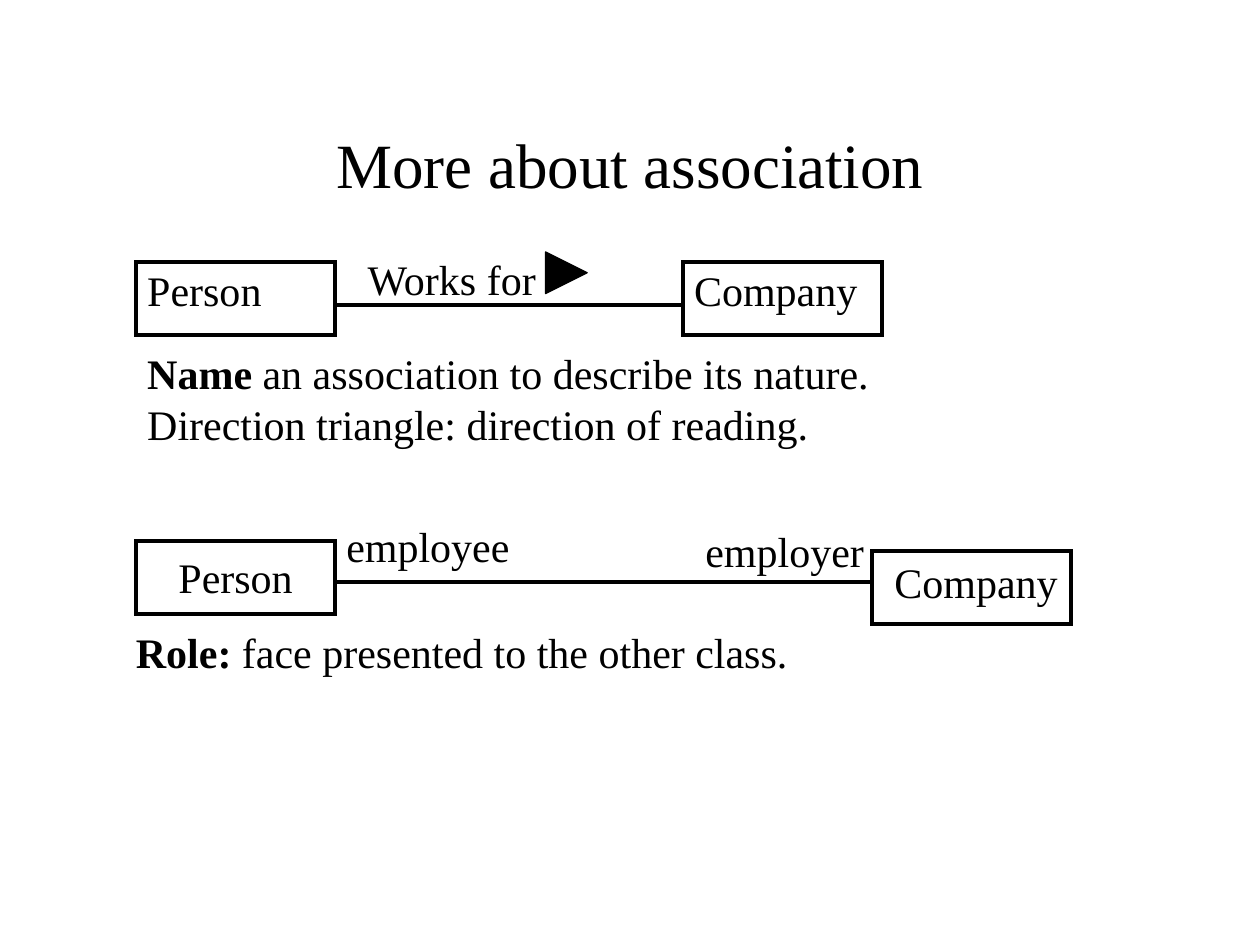
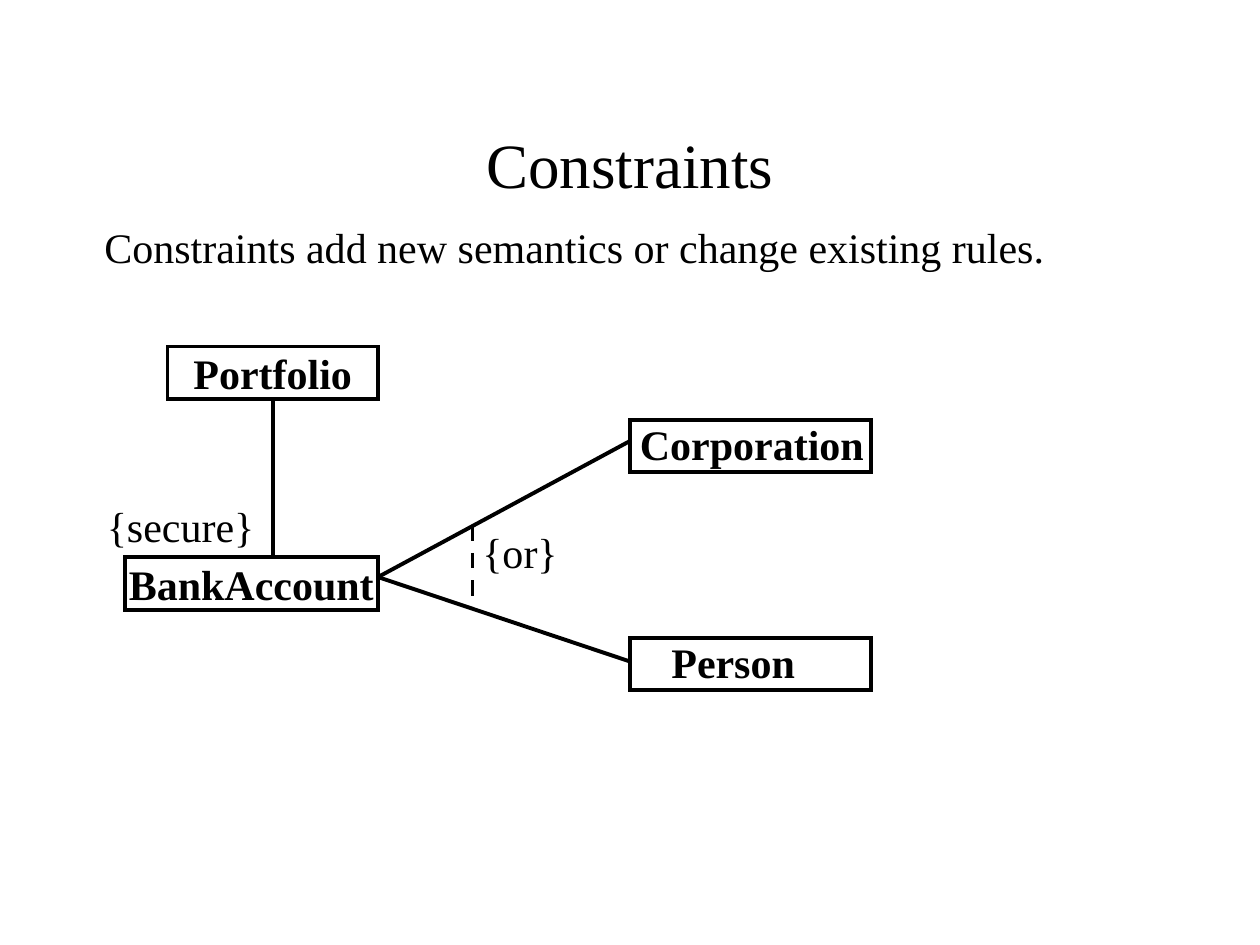
from lxml import etree
from pptx import Presentation
from pptx.dml.color import RGBColor
from pptx.enum import dml, shapes, text
from pptx.oxml import ns
from pptx.util import Inches, Pt

BLACK = RGBColor(0, 0, 0)
FONT = "Times New Roman"
BODY, HEAD = 24, 36
STROKE = 2.25
CLASS_W, CLASS_H = 1.58, 0.58   # association classes
RULE_W, RULE_H = 1.91, 0.42     # constrained classes
LINE_H = 0.4


def style(para, size=BODY, bold=None, align=text.PP_ALIGN.LEFT):
    font = para.font
    font.name, font.size, font.bold = FONT, Pt(size), bold
    font.color.rgb = BLACK
    para.alignment = align


def ink(line, width=STROKE):
    line.color.rgb = BLACK
    line.width = Pt(width)


def start(deck, title):
    """Add a title-only slide with its heading."""
    slide = deck.slides.add_slide(deck.slide_layouts[5])
    head = slide.shapes.title
    head.left, head.top = Inches(0.75), Inches(0.67)
    head.width, head.height = Inches(8.5), Inches(1.25)
    frame = head.text_frame
    frame.text = title
    frame.auto_size = text.MSO_AUTO_SIZE.NONE
    frame.vertical_anchor = text.MSO_ANCHOR.MIDDLE
    style(frame.paragraphs[0], HEAD, align=text.PP_ALIGN.CENTER)
    return slide


def label(slide, x, y, w, *lines, lead="", bold=None):
    """Add lines of text; lead is a bold opening for the first one."""
    height = 0.1 + LINE_H * len(lines)
    area = slide.shapes.add_textbox(Inches(x), Inches(y), Inches(w), Inches(height))
    frame = area.text_frame
    frame.word_wrap = False
    frame.auto_size = text.MSO_AUTO_SIZE.SHAPE_TO_FIT_TEXT
    for i, words in enumerate(lines):
        para = frame.paragraphs[0] if i == 0 else frame.add_paragraph()
        style(para, bold=bold)
        if i == 0 and lead:
            run = para.add_run()
            run.text = lead
            run.font.bold = True
        para.add_run().text = words


def box(slide, x, y, w, h, name="", bold=None):
    """Add a sharp-cornered class rectangle, with its name centred if given."""
    rect = slide.shapes.add_shape(
        shapes.MSO_SHAPE.RECTANGLE, Inches(x), Inches(y), Inches(w), Inches(h))
    rect.shadow.inherit = False
    rect.fill.background()
    ink(rect.line)
    edge = rect._element.spPr.find(ns.qn("a:ln"))
    etree.SubElement(edge, ns.qn("a:miter"), lim="800000")
    if name:
        frame = rect.text_frame
        frame.text = name
        frame.word_wrap = False
        frame.vertical_anchor = text.MSO_ANCHOR.MIDDLE
        style(frame.paragraphs[0], bold=bold, align=text.PP_ALIGN.CENTER)


def link(slide, x1, y1, x2, y2, dash=False):
    line = slide.shapes.add_connector(
        shapes.MSO_CONNECTOR.STRAIGHT, Inches(x1), Inches(y1), Inches(x2), Inches(y2))
    ink(line.line)
    if dash:
        line.line.dash_style = dml.MSO_LINE.DASH
    etree.SubElement(line._element.spPr, ns.qn("a:effectLst"))


def pointer(slide, x, y, size):
    """Add the solid triangle that shows the reading direction."""
    mark = slide.shapes.add_shape(
        shapes.MSO_SHAPE.FLOWCHART_EXTRACT,
        Inches(x), Inches(y), Inches(size), Inches(size))
    mark.rotation = 90
    mark.shadow.inherit = False
    mark.fill.solid()
    mark.fill.fore_color.rgb = BLACK
    ink(mark.line, 0.75)


def association(deck):
    slide = start(deck, "More about association")

    for x, w, name in ((1.08, 1.15, "Person"), (5.42, 1.55, "Company")):
        box(slide, x, 2.08, CLASS_W, CLASS_H)
        label(slide, x - 0.01, 2.05, w, name)
    link(slide, 2.67, 2.42, 5.42, 2.42)
    label(slide, 2.82, 1.96, 1.6, "Works for")
    pointer(slide, 4.33, 2, 0.33)
    label(slide, 1.07, 2.71, 6, " an association to describe its nature.",
          "Direction triangle: direction of reading.", lead="Name")

    box(slide, 1.08, 4.29, CLASS_W, CLASS_H, "Person")
    box(slide, 6.92, 4.37, CLASS_W, CLASS_H)
    label(slide, 7, 4.37, 1.55, "Company")
    link(slide, 2.67, 4.62, 6.92, 4.62)
    label(slide, 2.65, 4.08, 1.55, "employee")
    label(slide, 5.5, 4.12, 1.5, "employer")
    label(slide, 0.98, 4.92, 5.45, " face presented to the other class.", lead="Role:")


def constraints(deck):
    slide = start(deck, "Constraints")
    label(slide, 0.73, 1.71, 7.75,
          "Constraints add new semantics or change existing rules.")

    box(slide, 1.33, 2.75, 1.67, RULE_H, "Portfolio", bold=True)
    box(slide, 0.99, 4.42, 2.01, RULE_H, "BankAccount", bold=True)
    link(slide, 2.17, 3.17, 2.17, 4.42)
    label(slide, 0.75, 3.92, 1.4, "{secure}")

    owners = ((3.33, 3.5, 4.98, 2.05, "Corporation"),
              (5.06, 5.25, 5.23, 1.25, "Person"))
    for top, end, x, w, name in owners:
        box(slide, 5, top, RULE_W, RULE_H)
        link(slide, 3, 4.58, 5, end)
        label(slide, x, top - 0.06, w, name, bold=True)
    link(slide, 3.75, 4.17, 3.75, 4.83, dash=True)
    label(slide, 3.73, 4.13, 0.85, "{or}")


def main():
    deck = Presentation()
    deck.slide_width, deck.slide_height = Inches(10), Inches(7.5)
    association(deck)
    constraints(deck)
    deck.save("out.pptx")


if __name__ == "__main__":
    main()
